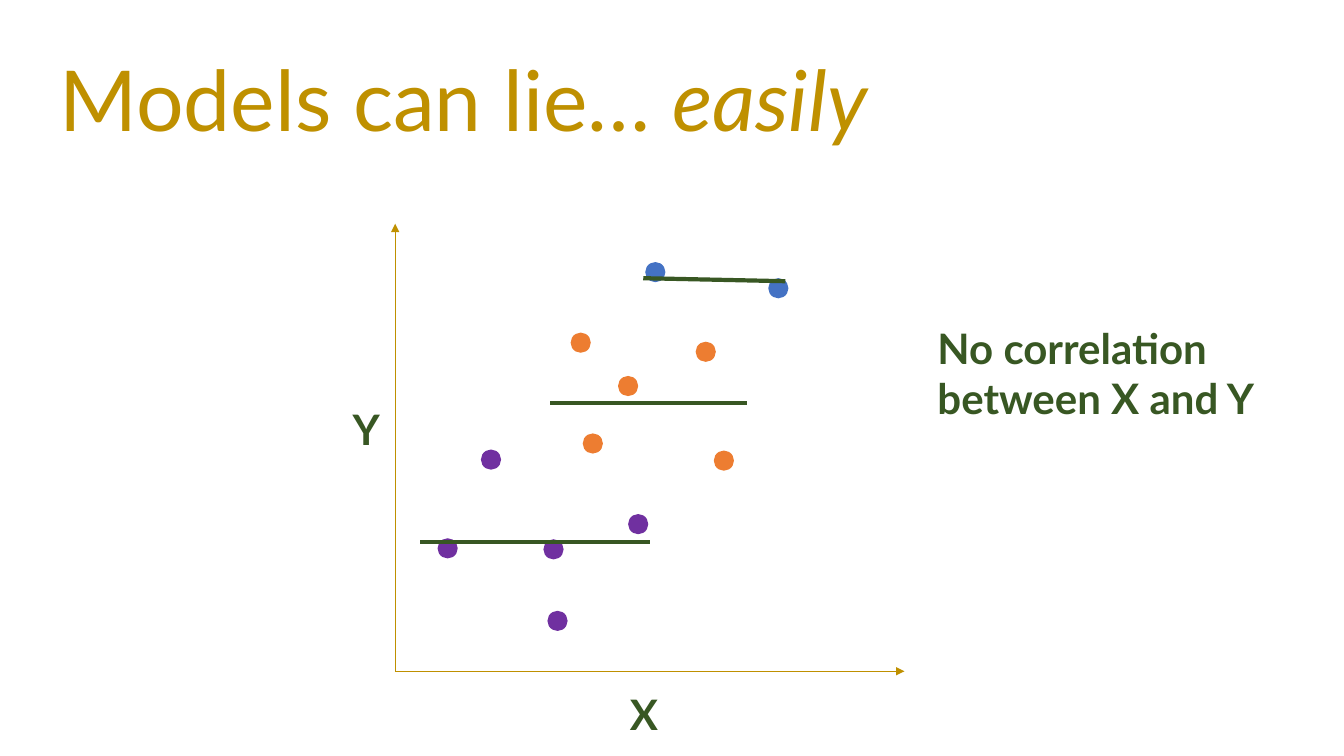
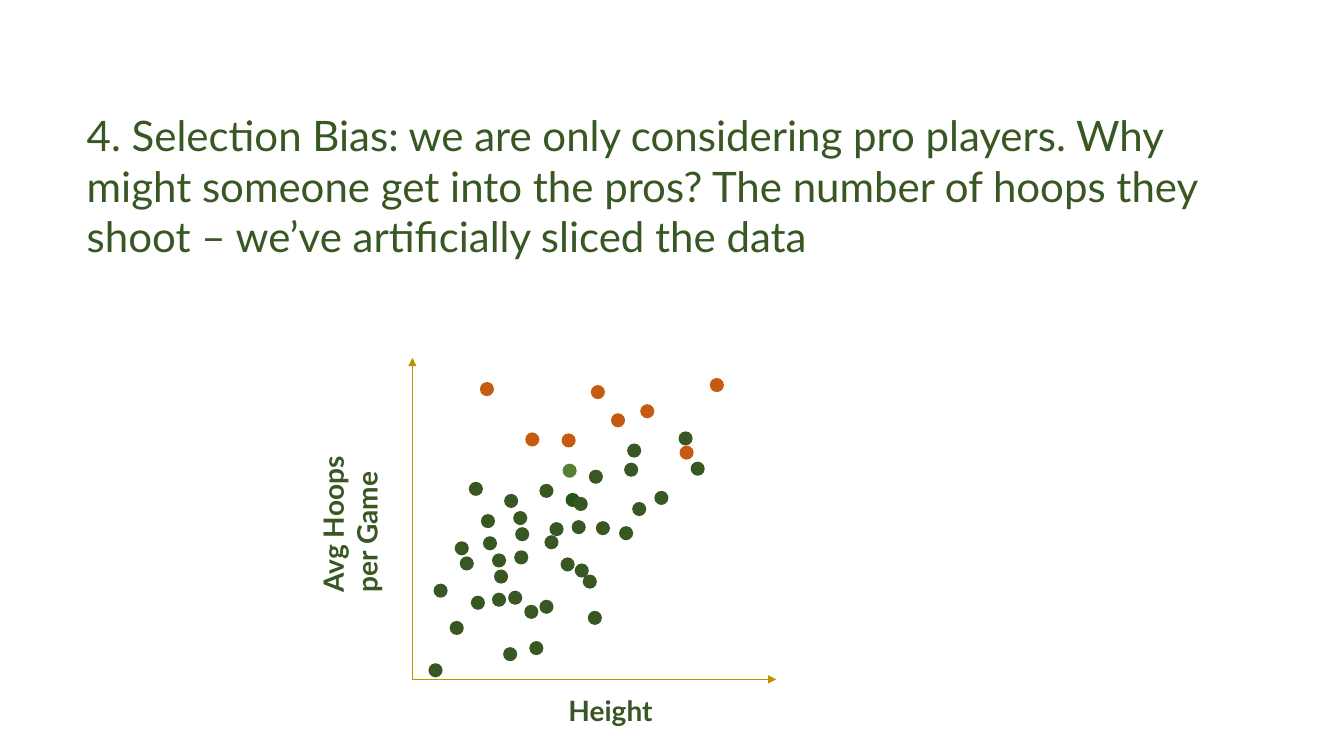
from dataclasses import dataclass

from lxml import etree
from pptx import Presentation
from pptx.dml.color import RGBColor
from pptx.enum.shapes import MSO_CONNECTOR, MSO_SHAPE
from pptx.enum.text import MSO_ANCHOR, PP_ALIGN
from pptx.oxml.ns import qn
from pptx.util import Inches, Pt

OVAL = MSO_SHAPE.OVAL
STRAIGHT = MSO_CONNECTOR.STRAIGHT
LEFT = PP_ALIGN.LEFT
TOP = MSO_ANCHOR.TOP


@dataclass(frozen=True)
class Theme:
    font: str = "Lato"
    gold: str = "BF9000"
    green: str = "385723"
    dark_green: str = "265317"
    light_green: str = "548235"
    purple: str = "7030A0"
    orange: str = "ED7D31"
    rust: str = "C55A11"
    blue: str = "4472C4"
    title_size: int = 60
    text_size: int = 30
    label_size: int = 20
    axis_width: int = 1
    trend_width: int = 3


THEME = Theme()


class Deck:
    """Holds the style and the slide being built."""

    def __init__(self, theme):
        self.theme = theme
        self.prs = Presentation()
        self.prs.slide_width = Inches(13.33)
        self.prs.slide_height = Inches(7.5)
        self.slide = None

    def new_slide(self):
        self.slide = self.prs.slides.add_slide(self.prs.slide_layouts[5])

    def _write(self, sp, runs, size, color, bold):
        """Fill a text frame; runs are (text, italic) pairs."""
        tf = sp.text_frame
        tf.word_wrap = True
        tf.vertical_anchor = TOP
        p = tf.paragraphs[0]
        p.alignment = LEFT
        for text, italic in runs:
            r = p.add_run()
            r.text = text
            r.font.name = self.theme.font
            r.font.size = Pt(size)
            r.font.bold = bold
            r.font.italic = italic
            r.font.color.rgb = RGBColor.from_string(color)

    def title(self, x, y, w, h, runs, size, color):
        sp = self.slide.shapes.title
        sp.left, sp.top = Inches(x), Inches(y)
        sp.width, sp.height = Inches(w), Inches(h)
        self._write(sp, runs, size, color, False)

    def label(self, x, y, w, h, text, size, rotation=0):
        sp = self.slide.shapes.add_textbox(Inches(x), Inches(y), Inches(w), Inches(h))
        sp.rotation = rotation
        self._write(sp, [(text, False)], size, self.theme.green, True)

    def line(self, start, end, color, width, arrow=False):
        points = [Inches(v) for v in (*start, *end)]
        sp = self.slide.shapes.add_connector(STRAIGHT, *points)
        sp.line.color.rgb = RGBColor.from_string(color)
        sp.line.width = Pt(width)
        if arrow:
            ln = sp.line._get_or_add_ln()
            etree.SubElement(ln, qn("a:tailEnd"), type="triangle")
        etree.SubElement(sp._element.spPr, qn("a:effectLst"))

    def axes(self, origin, right, top):
        x, y = origin
        for end in ((x, top), (right, y)):
            self.line(origin, end, self.theme.gold, self.theme.axis_width, arrow=True)

    def trend(self, start, end):
        self.line(start, end, self.theme.green, self.theme.trend_width)

    def dots(self, series, size):
        """Draw dots from a list of (colour, top-left points)."""
        d = Inches(size)
        for color, points in series:
            for x, y in points:
                sp = self.slide.shapes.add_shape(OVAL, Inches(x), Inches(y), d, d)
                sp.shadow.inherit = False
                sp.fill.solid()
                sp.fill.fore_color.rgb = RGBColor.from_string(color)
                sp.line.fill.background()


# Data for the grouped scatter
GROUPS = [
    (THEME.purple, [(4.34, 5.34), (4.77, 4.46), (5.39, 5.35), (5.43, 6.06), (6.23, 5.1)]),
    (THEME.orange, [(5.66, 3.3), (5.78, 4.3), (6.13, 3.73), (6.9, 3.39), (7.08, 4.47)]),
    (THEME.blue, [(6.4, 2.6), (7.62, 2.76)]),
]
TRENDS = [
    ((4.17, 5.38), (6.45, 5.38)),
    ((5.46, 4), (7.41, 4)),
    ((6.38, 2.76), (7.79, 2.79)),
]

# Data for the players scatter
PLAYERS = [
    (THEME.dark_green, [(5.61, 4.89)]),
    (THEME.light_green, [(5.58, 4.6)]),
    (THEME.green, [
        (4.25, 6.58), (4.3, 5.79), (4.46, 6.16), (4.51, 5.37), (4.56, 5.52),
        (4.65, 4.78), (4.67, 5.91), (4.77, 5.1), (4.79, 5.32), (4.88, 5.49),
        (4.88, 5.88), (4.9, 5.65), (4.99, 6.42), (5, 4.9), (5.04, 5.86),
        (5.09, 5.07), (5.1, 5.46), (5.11, 5.23), (5.2, 6), (5.25, 6.36),
        (5.35, 4.8), (5.35, 5.95), (5.4, 5.31), (5.45, 5.18), (5.56, 5.53),
        (5.67, 5.16), (5.69, 4.93), (5.7, 5.59), (5.78, 5.7), (5.83, 6.06),
        (5.84, 4.66), (5.91, 5.17), (6.14, 5.22), (6.19, 4.59), (6.22, 4.4),
        (6.27, 4.98), (6.49, 4.87), (6.73, 4.28), (6.85, 4.58),
    ]),
    (THEME.rust, [
        (4.76, 3.79), (5.21, 4.29), (5.57, 4.3), (5.86, 3.82),
        (6.06, 4.1), (6.35, 4.01), (6.74, 4.42), (7.04, 3.75),
    ]),
]


def models_slide(deck):
    t = deck.theme
    deck.new_slide()
    deck.title(0.49, 0.42, 12.35, 1.11,
               [("Models can lie… ", False), ("easily", True)], t.title_size, t.gold)
    # Chart
    deck.axes((3.92, 6.66), right=8.97, top=2.22)
    deck.label(6.15, 6.78, 1.7, 0.51, "X", t.text_size)
    deck.label(3.4, 3.95, 4.01, 0.51, "Y", t.text_size)
    deck.dots(GROUPS, 0.2)
    for start, end in TRENDS:
        deck.trend(start, end)
    # Conclusion
    deck.label(9.2, 3.15, 3.84, 1.11, "No correlation between X and Y", t.text_size)


def selection_slide(deck):
    t = deck.theme
    deck.new_slide()
    deck.title(0.76, 1.04, 11.89, 1.62,
               [("4. Selection Bias: we are only considering pro players. Why might "
                 "someone get into the pros? The number of hoops they shoot – "
                 "we’ve artificially sliced the data", False)], t.text_size, t.green)
    # Chart
    deck.axes((4.09, 6.74), right=7.7, top=3.55)
    deck.label(5.54, 6.83, 1.94, 0.44, "Height", t.label_size)
    deck.label(2.5, 4.62, 1.94, 0.77, "Avg Hoops per Game", t.label_size, rotation=270)
    deck.dots(PLAYERS, 0.14)


def main():
    deck = Deck(THEME)
    models_slide(deck)
    selection_slide(deck)
    deck.prs.save("out.pptx")


if __name__ == "__main__":
    main()
